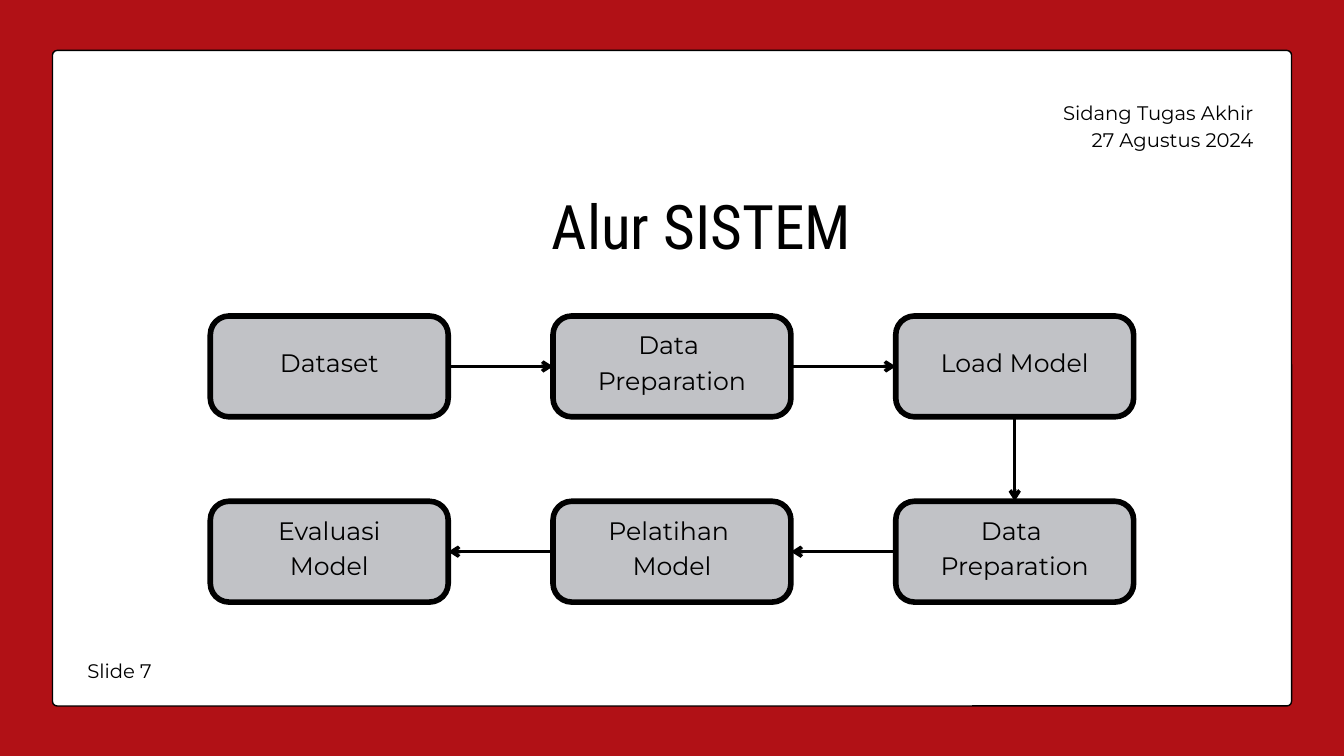
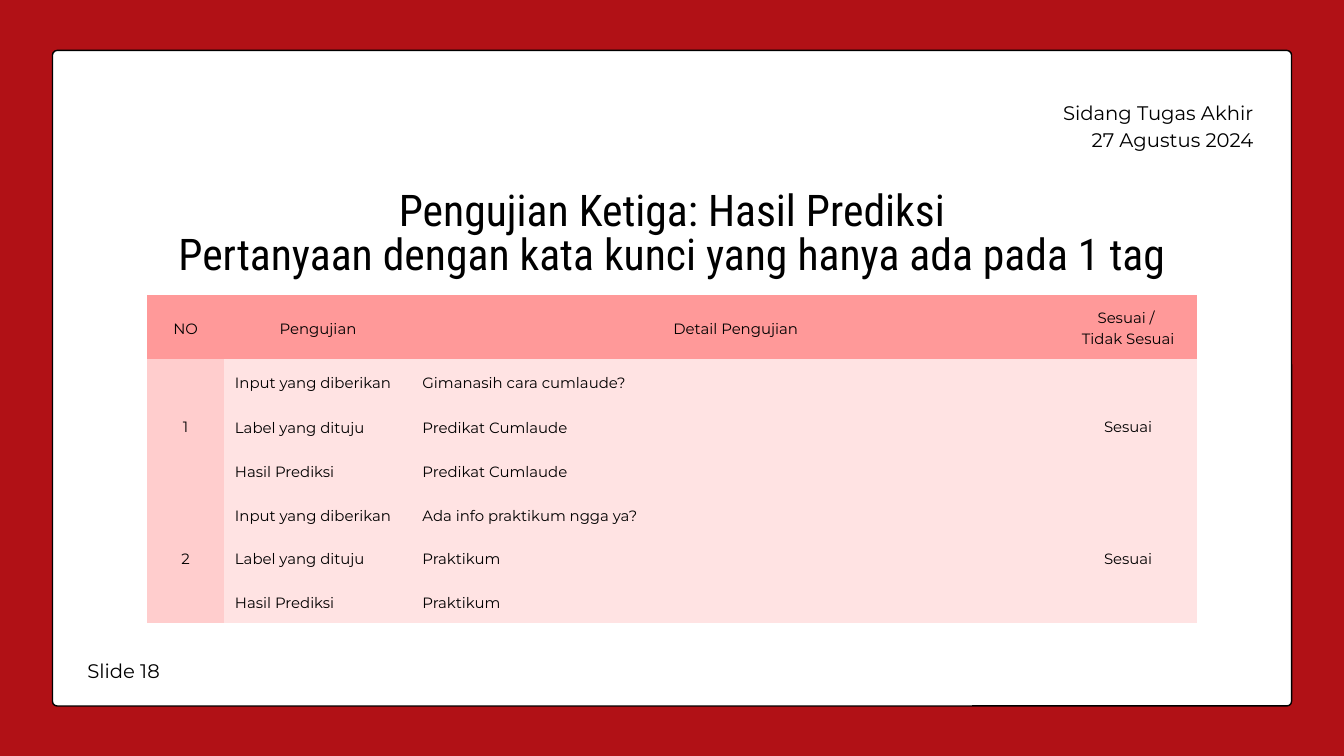
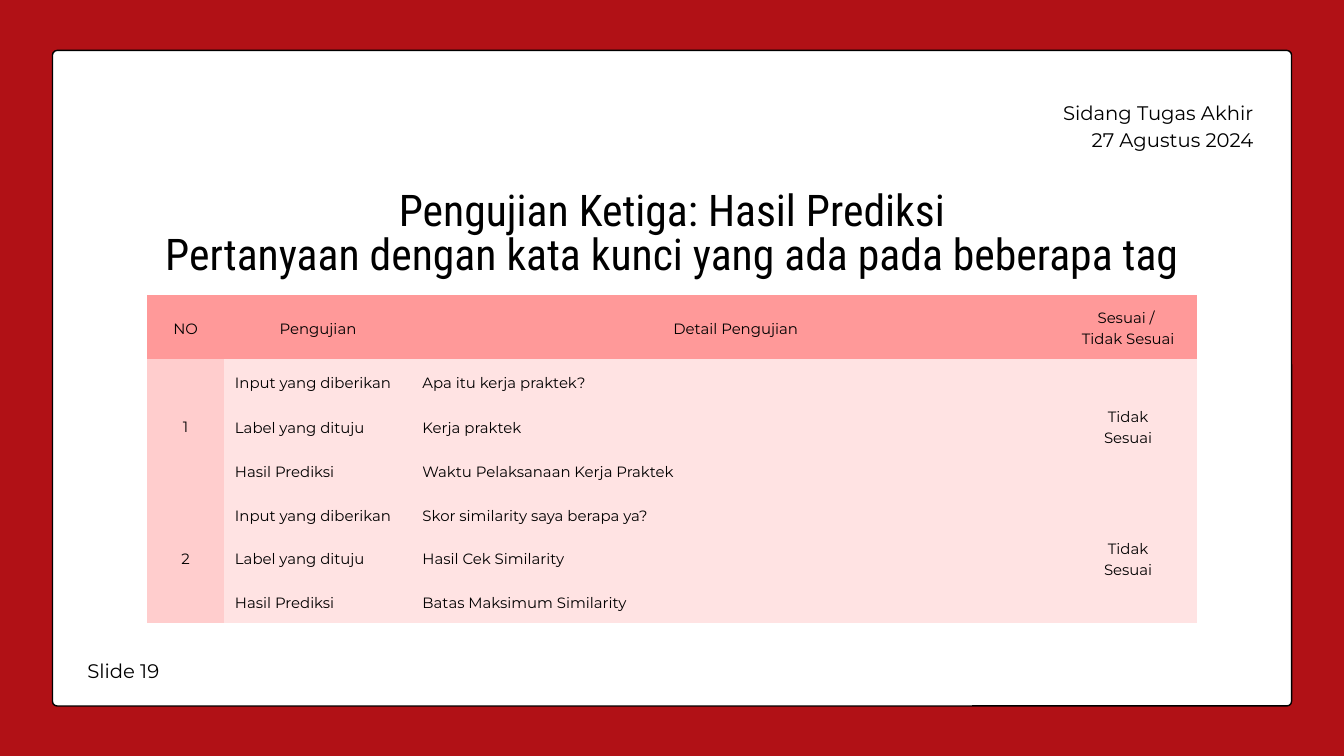
from lxml import etree
from pptx import Presentation
from pptx import util as u
from pptx.dml.color import RGBColor
from pptx.enum import shapes, text
from pptx.oxml.ns import qn

COLOURS = {
    "background": "B11116",
    "panel": "FFFFFF",
    "ink": "000000",
    "box": "C1C2C6",
    "table_header": "FF9999",
    "table_number": "FFCDCD",
    "table_body": "FFE3E3",
}
BODY_FONT = "Montserrat"
TITLE_FONT = "Roboto Condensed"
CENTER = text.PP_ALIGN.CENTER

# Connection sites of a rounded rectangle
TOP, LEFT, BOTTOM, RIGHT = range(4)

BOX_WIDTH, BOX_HEIGHT = 254.9, 108
BOX_LEFT, BOX_TOP = 225.36, 338.6
COLUMN_PITCH, ROW_PITCH = 367.2, 198.5

COLUMN_WIDTHS = (82.8, 200.9, 694.1, 146.9)
ROW_HEIGHTS = (68.4, 49, 46.8, 46.8, 46.8, 46.8, 46.8)
TABLE_HEADER = ("NO", "Pengujian", "Detail Pengujian", "Sesuai / \nTidak Sesuai")
TEST_STEPS = ("Input yang diberikan", "Label yang dituju", "Hasil Prediksi")


def colour(name):
    return RGBColor.from_string(COLOURS[name])


def write(frame, words, size, spacing, align, font=BODY_FONT):
    """Fill a text frame; each line of words becomes a paragraph."""
    frame.text = words
    for paragraph in frame.paragraphs:
        paragraph.alignment = align
        paragraph.line_spacing = u.Pt(spacing)
        for run in paragraph.runs:
            run.font.name = font
            run.font.size = u.Pt(size)
            run.font.color.rgb = colour("ink")


def set_margins(target, left, top, right, bottom):
    target.margin_left, target.margin_top = u.Pt(left), u.Pt(top)
    target.margin_right, target.margin_bottom = u.Pt(right), u.Pt(bottom)


def add_text(slide, left, top, width, height, words, size, spacing, align,
             font=BODY_FONT):
    shape = slide.shapes.add_textbox(
        u.Pt(left), u.Pt(top), u.Pt(width), u.Pt(height))
    frame = shape.text_frame
    frame.word_wrap = True
    set_margins(frame, 0, 0, 0, 0)
    write(frame, words, size, spacing, align, font)


def add_rounded(slide, left, top, width, height, radius, fill, line_width):
    shape = slide.shapes.add_shape(
        shapes.MSO_SHAPE.ROUNDED_RECTANGLE,
        u.Pt(left), u.Pt(top), u.Pt(width), u.Pt(height))
    shape.adjustments[0] = radius / min(width, height)
    shape.shadow.inherit = False
    shape.fill.solid()
    shape.fill.fore_color.rgb = colour(fill)
    shape.line.color.rgb = colour("ink")
    shape.line.width = u.Pt(line_width)
    return shape


def add_base_slide(presentation, number):
    """Add a slide with the red frame, white panel, event date and number."""
    slide = presentation.slides.add_slide(presentation.slide_layouts[6])
    slide.background.fill.solid()
    slide.background.fill.fore_color.rgb = colour("background")
    add_rounded(slide, 56.2, 54, 1327.6, 702.4, 5, "panel", 1.5)
    add_text(slide, 802, 103.7, 540.7, 86.4,
             "Sidang Tugas Akhir\n27 Agustus 2024", 21, 29.4,
             text.PP_ALIGN.RIGHT)
    add_text(slide, 93.6, 701.3, 540.7, 26, f"Slide {number}", 21, 29.4,
             text.PP_ALIGN.JUSTIFY)
    return slide


def add_flow_box(slide, column, row, words):
    box = add_rounded(slide, BOX_LEFT + column * COLUMN_PITCH,
                      BOX_TOP + row * ROW_PITCH,
                      BOX_WIDTH, BOX_HEIGHT, 20, "box", 6)
    frame = box.text_frame
    frame.word_wrap = True
    frame.vertical_anchor = text.MSO_ANCHOR.MIDDLE
    set_margins(frame, 0, 0, 0, 14)  # lifts the words above the middle
    write(frame, words, 27, 37.8, CENTER)
    return box


def add_arrow(slide, start, start_site, end, end_site):
    arrow = slide.shapes.add_connector(shapes.MSO_CONNECTOR.STRAIGHT, 0, 0, 0, 0)
    arrow.begin_connect(start, start_site)
    arrow.end_connect(end, end_site)
    arrow.line.color.rgb = colour("ink")
    arrow.line.width = u.Pt(3.75)
    etree.SubElement(arrow.line._get_or_add_ln(), qn("a:tailEnd"), type="arrow")
    etree.SubElement(arrow._element.spPr, qn("a:effectLst"))


def remove_borders(cell):
    properties = cell._tc.get_or_add_tcPr()
    for index, side in enumerate(("a:lnL", "a:lnR", "a:lnT", "a:lnB")):
        border = etree.Element(qn(side), w="0")
        etree.SubElement(border, qn("a:noFill"))
        properties.insert(index, border)


def style_cell(cell, fill):
    cell.fill.solid()
    cell.fill.fore_color.rgb = colour(fill)
    cell.vertical_anchor = text.MSO_ANCHOR.MIDDLE
    set_margins(cell, 11.5, 11.5, 11.5, 11.5)
    remove_borders(cell)


def add_test_table(slide, tests):
    """Add the results table; tests holds (three details, verdict) pairs."""
    table = slide.shapes.add_table(
        len(ROW_HEIGHTS), len(COLUMN_WIDTHS), u.Pt(157.5), u.Pt(316.6),
        u.Pt(sum(COLUMN_WIDTHS)), u.Pt(sum(ROW_HEIGHTS))).table
    for column, width in zip(table.columns, COLUMN_WIDTHS):
        column.width = u.Pt(width)
    for row, height in zip(table.rows, ROW_HEIGHTS):
        row.height = u.Pt(height)

    for row in range(len(ROW_HEIGHTS)):
        for column in range(len(COLUMN_WIDTHS)):
            body_fill = "table_number" if column == 0 else "table_body"
            style_cell(table.cell(row, column),
                       "table_header" if row == 0 else body_fill)

    def put(row, column, words, align=CENTER):
        write(table.cell(row, column).text_frame, words, 16, 22.4, align)

    for column, words in enumerate(TABLE_HEADER):
        put(0, column, words)
    for index, (details, verdict) in enumerate(tests):
        first = 1 + index * len(TEST_STEPS)
        last = first + len(TEST_STEPS) - 1
        for column, words in ((0, str(index + 1)), (3, verdict)):
            table.cell(first, column).merge(table.cell(last, column))
            put(first, column, words)
        for row, (step, detail) in enumerate(zip(TEST_STEPS, details), first):
            put(row, 1, step, text.PP_ALIGN.LEFT)
            put(row, 2, detail, text.PP_ALIGN.LEFT)


def build_flow_slide(presentation):
    slide = add_base_slide(presentation, 7)
    add_text(slide, 378, 213.8, 747.4, 67, "Alur SISTEM", 65.8, 66.4,
             CENTER, TITLE_FONT)
    steps = (
        (0, 0, "Dataset"),
        (1, 0, "Data \nPreparation"),
        (2, 0, "Load Model"),
        (2, 1, "Data \nPreparation"),
        (1, 1, "Pelatihan \nModel"),
        (0, 1, "Evaluasi\nModel"),
    )
    boxes = [add_flow_box(slide, *step) for step in steps]
    sites = [(RIGHT, LEFT)] * 2 + [(BOTTOM, TOP)] + [(LEFT, RIGHT)] * 2
    for start, end, (start_site, end_site) in zip(boxes, boxes[1:], sites):
        add_arrow(slide, start, start_site, end, end_site)


def build_test_slide(presentation, number, topic, tests):
    slide = add_base_slide(presentation, number)
    add_test_table(slide, tests)
    add_text(slide, 171.4, 204.5, 1097.3, 95.8,
             f"Pengujian Ketiga: Hasil Prediksi\n{topic}", 46.8, 47.2,
             CENTER, TITLE_FONT)


def main():
    presentation = Presentation()
    presentation.slide_width = u.Pt(1440)
    presentation.slide_height = u.Pt(810)
    build_flow_slide(presentation)
    build_test_slide(
        presentation, 18,
        "Pertanyaan dengan kata kunci yang hanya ada pada 1 tag",
        ((("Gimanasih cara cumlaude?", "Predikat Cumlaude",
           "Predikat Cumlaude"), "Sesuai"),
         (("Ada info praktikum ngga ya?", "Praktikum", "Praktikum"),
          "Sesuai")))
    build_test_slide(
        presentation, 19,
        "Pertanyaan dengan kata kunci yang ada pada beberapa tag",
        ((("Apa itu kerja praktek?", "Kerja praktek",
           "Waktu Pelaksanaan Kerja Praktek"), "Tidak\nSesuai"),
         (("Skor similarity saya berapa ya?", "Hasil Cek Similarity",
           "Batas Maksimum Similarity"), "Tidak\nSesuai")))
    presentation.save("out.pptx")


if __name__ == "__main__":
    main()
